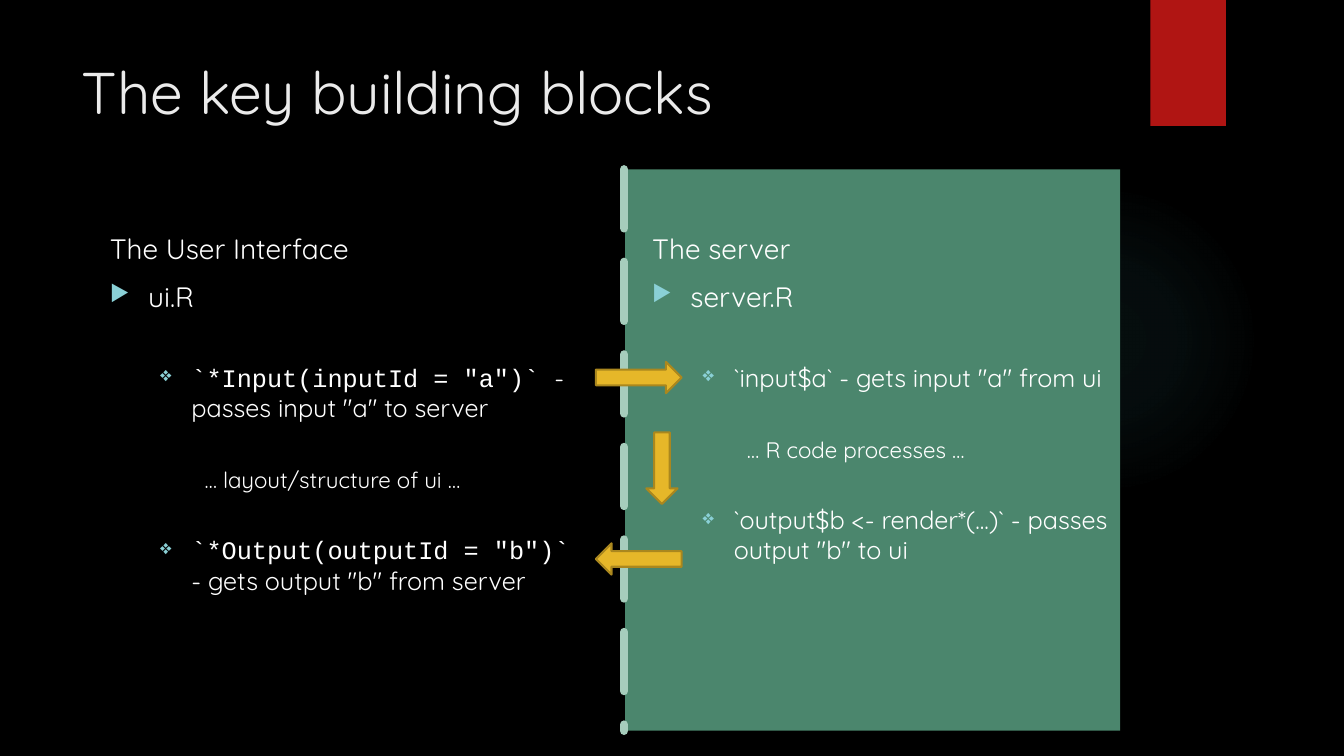
from lxml import etree
from pptx import Presentation
from pptx import util as u
from pptx.dml.color import RGBColor
from pptx.enum import dml, shapes, text
from pptx.oxml import parse_xml
from pptx.oxml.ns import nsdecls, qn

SANS, MONO = "Quicksand", "Courier New"
WHITE, AQUA, GOLD = "FFFFFF", "8AD0D6", "E6B729"

# Kind of line: level, left margin, hanging indent, text size, bullet
LINE_KINDS = {
    "heading": (0, 0, 0, 20, None),
    "file": (0, 0.38, -0.38, 20, "▶"),
    "code": (1, 0.81, -0.31, 18, "❖"),
    "aside": (2, 0.94, 0, 16, None),
}

# Each line: kind, space before, runs of (text, font)
UI_LINES = [
    ("heading", 0, [("The User Interface", SANS)]),
    ("file", 10, [("ui.R", SANS)]),
    ("code", 35, [('`*Input(inputId = "a")` ', MONO),
                  ('- passes input "a" to server', SANS)]),
    ("aside", 31, [("… layout/structure of ui …", SANS)]),
    ("code", 30, [('`*Output(outputId = "b")` ', MONO),
                  ('- gets output "b" from server', SANS)]),
]
SERVER_LINES = [
    ("heading", 0, [("The server", SANS)]),
    ("file", 10, [("server.R", SANS)]),
    ("code", 35, [('`input$a` - gets input "a" from ui', SANS)]),
    ("aside", 31, [("… R code processes …", SANS)]),
    ("code", 30, [('`output$b <- render*(...)` - passes output "b" to ui', SANS)]),
]


def rgb(value):
    return RGBColor.from_string(value)


def inches(*lengths):
    return [u.Inches(length) for length in lengths]


def add_block(slide, kind, box, fill, outline=None):
    block = slide.shapes.add_shape(kind, *inches(*box))
    block.shadow.inherit = False
    block.fill.solid()
    block.fill.fore_color.rgb = rgb(fill)
    if outline:
        block.line.color.rgb = rgb(outline)
        block.line.width = u.Pt(1.5)
    else:
        block.line.fill.background()
    return block


def add_glow(slide, box, color, stops):
    """Circle that fades out from its centre; stops are (position %, opacity %)."""
    glow = add_block(slide, shapes.MSO_SHAPE.OVAL, box, color)
    steps = "".join(
        f'<a:gs pos="{position * 1000}"><a:srgbClr val="{color}">'
        f'<a:alpha val="{opacity * 1000}"/></a:srgbClr></a:gs>'
        for position, opacity in stops)
    gradient = parse_xml(
        f'<a:gradFill {nsdecls("a")}><a:gsLst>{steps}</a:gsLst><a:path path="circle">'
        '<a:fillToRect l="50000" t="50000" r="50000" b="50000"/></a:path></a:gradFill>')
    properties = glow.element.spPr
    properties.replace(properties.find(qn("a:solidFill")), gradient)


def add_arrow(slide, box, rotation=0):
    arrow = add_block(slide, shapes.MSO_SHAPE.RIGHT_ARROW, box, GOLD, "AA871E")
    arrow.rotation = rotation


def add_divider(slide, x, top, bottom):
    divider = slide.shapes.add_connector(
        shapes.MSO_CONNECTOR.STRAIGHT, *inches(x, top, x, bottom))
    divider.line.color.rgb = rgb("A6CDBC")
    divider.line.width = u.Pt(6)
    divider.line.dash_style = dml.MSO_LINE.LONG_DASH
    properties = divider.element.spPr
    properties.find(qn("a:ln")).set("cap", "rnd")
    etree.SubElement(properties, qn("a:effectLst"))


def set_indent(paragraph, margin, hanging, bullet):
    properties = paragraph._p.get_or_add_pPr()
    properties.set("marL", str(u.Inches(margin)))
    properties.set("indent", str(u.Inches(hanging)))
    if bullet:
        color = etree.SubElement(properties, qn("a:buClr"))
        etree.SubElement(color, qn("a:srgbClr"), val=AQUA)
        etree.SubElement(properties, qn("a:buSzPct"), val="80000")
        etree.SubElement(properties, qn("a:buChar"), char=bullet)
    else:
        etree.SubElement(properties, qn("a:buNone"))


def add_column(slide, box, lines):
    frame = slide.shapes.add_textbox(*inches(*box)).text_frame
    frame.word_wrap = True
    for number, (kind, space, runs) in enumerate(lines):
        level, margin, hanging, size, bullet = LINE_KINDS[kind]
        paragraph = frame.add_paragraph() if number else frame.paragraphs[0]
        paragraph.level = level
        paragraph.space_before = u.Pt(space)
        set_indent(paragraph, margin, hanging, bullet)
        paragraph.font.size = u.Pt(size)
        paragraph.font.color.rgb = rgb(WHITE)
        if len(runs) == 1:
            paragraph.font.name = runs[0][1]
        for words, font in runs:
            run = paragraph.add_run()
            run.text = words
            if len(runs) > 1:
                run.font.name = font


def set_title(slide, box, words):
    title = slide.shapes.title
    title.left, title.top, title.width, title.height = inches(*box)
    frame = title.text_frame
    frame.text = words
    frame.vertical_anchor = text.MSO_ANCHOR.TOP
    heading = frame.paragraphs[0]
    heading.alignment = text.PP_ALIGN.LEFT
    heading.font.name = SANS
    heading.font.size = u.Pt(42)
    heading.font.color.rgb = rgb("EBEBEB")


def main():
    deck = Presentation()
    deck.slide_width, deck.slide_height = inches(13.33, 7.5)
    slide = deck.slides.add_slide(deck.slide_layouts[5])
    slide.background.fill.solid()
    slide.background.fill.fore_color.rgb = rgb("000000")

    # Backdrop: glow, red tab and server panel
    add_glow(slide, (9.41, 1.83, 3.08, 3.08), "50B9C1", [(0, 7), (36, 6), (69, 0), (100, 0)])
    add_block(slide, shapes.MSO_SHAPE.RECTANGLE, (11.41, 0, 0.75, 1.25), "B01513")
    add_block(slide, shapes.MSO_SHAPE.RECTANGLE, (6.2, 1.68, 4.91, 5.57), "4B866D")

    # Title and the two columns
    set_title(slide, (0.71, 0.5, 10.29, 1.53), "The key building blocks")
    for left, lines in ((0.99, UI_LINES), (6.37, SERVER_LINES)):
        add_column(slide, (left, 2.25, 4.81, 4.59), lines)

    # Flow from ui to server and back
    add_arrow(slide, (6.21, 4.49, 0.71, 0.31), 90)
    add_divider(slide, 6.19, 1.68, 7.25)
    add_arrow(slide, (5.91, 5.39, 0.85, 0.31), 180)
    add_arrow(slide, (5.91, 3.59, 0.85, 0.31))

    deck.save("out.pptx")


if __name__ == "__main__":
    main()
